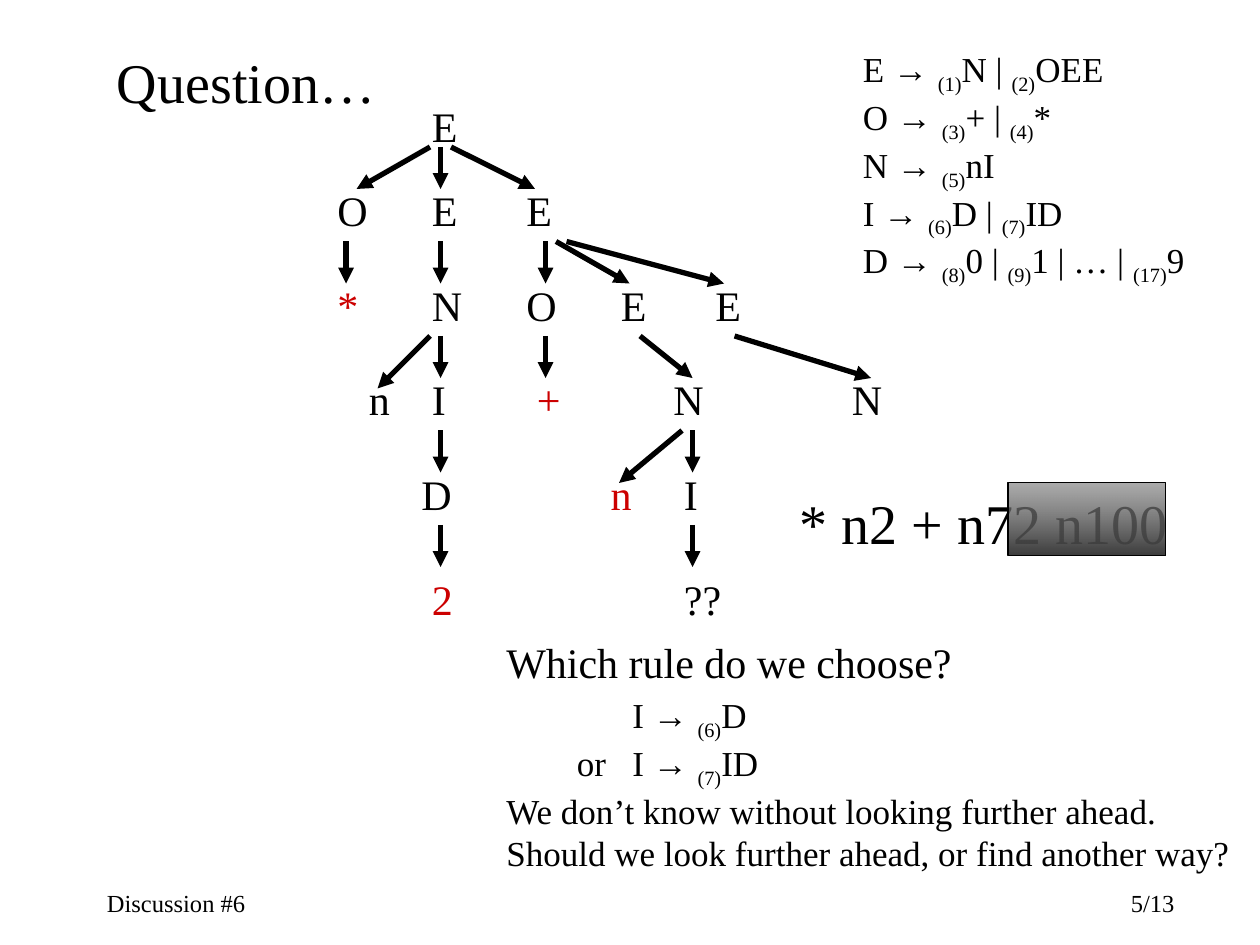
from lxml import etree
from pptx import Presentation
from pptx.dml.color import RGBColor
from pptx.enum.shapes import MSO_CONNECTOR, MSO_SHAPE
from pptx.enum.text import MSO_AUTO_SIZE, PP_ALIGN
from pptx.oxml.ns import qn
from pptx.util import Inches, Pt

STRAIGHT = MSO_CONNECTOR.STRAIGHT
RECTANGLE = MSO_SHAPE.RECTANGLE
FIT_SHAPE = MSO_AUTO_SIZE.SHAPE_TO_FIT_TEXT
LEFT, RIGHT = PP_ALIGN.LEFT, PP_ALIGN.RIGHT

BLACK = RGBColor(0x00, 0x00, 0x00)
RED = RGBColor(0xCC, 0x00, 0x00)
GRAY = RGBColor(0x80, 0x80, 0x80)
DARK = RGBColor(0x3B, 0x3B, 0x3B)

SERIF, SANS = "Times New Roman", "Arial"
UNIT = 1 / 12

GRAMMAR = [
    ("E", [(1, "N"), (2, "OEE")]),
    ("O", [(3, "+"), (4, "*")]),
    ("N", [(5, "nI")]),
    ("I", [(6, "D"), (7, "ID")]),
    ("D", [(8, "0"), (9, "1 | …"), (17, "9")]),
]

ROWS = [0, 8, 17, 26, 35, 45]
NODES = [
    [("E", 9, BLACK)],
    [("O", 0, BLACK), ("E", 9, BLACK), ("E", 18, BLACK)],
    [("*", 0, RED), ("N", 9, BLACK), ("O", 18, BLACK), ("E", 27, BLACK), ("E", 36, BLACK)],
    [("n", 3, BLACK), ("I", 9, BLACK), ("+", 19, RED), ("N", 32, BLACK), ("N", 49, BLACK)],
    [("D", 8, BLACK), ("n", 26, RED), ("I", 33, BLACK)],
    [("2", 9, RED), ("??", 33, BLACK)],
]
BRANCHES = [
    [(11, 11, 4), (10, 3, 4), (12, 20, 4)],
    [(2, 2, 4), (11, 11, 4), (21, 21, 4), (22, 29, 4), (23, 38, 4)],
    [(11, 11, 4), (10, 5, 5), (21, 21, 4), (30, 35, 4), (39, 52, 4)],
    [(11, 11, 4), (35, 35, 4), (34, 28, 5)],
    [(11, 11, 4), (35, 35, 4)],
]


def add_frame(s, x, y, w, h):
    tf = s.shapes.add_textbox(Inches(x), Inches(y), Inches(w), Inches(h)).text_frame
    tf.word_wrap = True
    tf.auto_size = FIT_SHAPE
    return tf


def add_run(p, text, size, color=BLACK, font=SERIF, sub=False):
    r = p.add_run()
    r.text = text
    r.font.size = Pt(size)
    r.font.name = font
    r.font.color.rgb = color
    if sub:
        r.font._element.set("baseline", "-25000")


def add_label(s, x, y, w, h, text, size, color=BLACK, align=LEFT):
    p = add_frame(s, x, y, w, h).paragraphs[0]
    p.alignment = align
    add_run(p, text, size, color)


def add_rule(p, head, options):
    add_run(p, head + " ", 20)
    add_run(p, "→ ", 20, font=SANS)
    for i, (number, body) in enumerate(options, 1):
        add_run(p, f"({number})", 20, sub=True)
        add_run(p, body + (" | " if i < len(options) else ""), 20)


def add_arrow(s, x1, y1, x2, y2):
    c = s.shapes.add_connector(STRAIGHT, Inches(x1), Inches(y1), Inches(x2), Inches(y2))
    c.line.color.rgb = BLACK
    c.line.width = Pt(3)
    etree.SubElement(c.line._get_or_add_ln(), qn("a:tailEnd"), type="triangle")
    etree.SubElement(c._element.spPr, qn("a:effectLst"))


def add_grammar(s, x, y, w, h):
    tf = add_frame(s, x, y, w, h)
    for i, (head, options) in enumerate(GRAMMAR):
        p = tf.add_paragraph() if i else tf.paragraphs[0]
        add_rule(p, head, options)


def add_tree(s, x, y):
    for row, nodes in zip(ROWS, NODES):
        for text, column, color in nodes:
            units = 8 if text == "??" else 5 if text in "EOND" else 4
            add_label(s, x + column * UNIT, y + row * UNIT, units * UNIT, 0.5, text, 24, color)
    for level, branches in enumerate(BRANCHES):
        top = y + (5 + 9 * level) * UNIT
        for start, end, drop in branches:
            add_arrow(s, x + start * UNIT, top, x + end * UNIT, top + drop * UNIT)


def set_tabs(p, stops):
    tabs = etree.SubElement(p._p.get_or_add_pPr(), qn("a:tabLst"))
    for stop in stops:
        etree.SubElement(tabs, qn("a:tab"), pos=str(Inches(stop)), algn="l")


def add_discussion(s, x, y, w, h):
    tf = add_frame(s, x, y, w, h)
    add_run(tf.paragraphs[0], "Which rule do we choose?", 24)
    for lead, size, option in [("\t\t", 24, (6, "D")), ("\tor\t", 20, (7, "ID"))]:
        p = tf.add_paragraph()
        set_tabs(p, [0.56, 1])
        add_run(p, lead, size)
        add_rule(p, "I", [option])
    for text in ["We don’t know without looking further ahead.",
                 "Should we look further ahead, or find another way?"]:
        add_run(tf.add_paragraph(), text, 20)


def add_cover(s, x, y, w, h):
    sp = s.shapes.add_shape(RECTANGLE, Inches(x), Inches(y), Inches(w), Inches(h))
    sp.shadow.inherit = False
    sp.fill.gradient()
    sp.fill.gradient_angle = 270
    for stop, color in zip(sp.fill.gradient_stops, [GRAY, DARK]):
        stop.color.rgb = color
    top_color = sp._element.spPr.find(".//" + qn("a:srgbClr"))
    etree.SubElement(top_color, qn("a:alpha"), val="65000")
    sp.line.color.rgb = BLACK
    sp.line.width = Pt(0.75)


def add_footer(s, x, y, w, h):
    add_label(s, x, y, w / 2, h, "Discussion #6", 14)
    add_label(s, x + w / 2, y, w / 2, h, "5/13", 14, align=RIGHT)


def main():
    prs = Presentation()
    prs.slide_width, prs.slide_height = Inches(10), Inches(7.5)
    s = prs.slides.add_slide(prs.slide_layouts[6])
    add_footer(s, 0.75, 7, 8.67, 0.33)
    add_grammar(s, 6.75, 0.33, 2.92, 2)
    add_tree(s, 2.58, 0.75)
    add_label(s, 6.25, 3.83, 3.25, 0.64, "* n2 + n72 n100", 32)
    add_label(s, 0.83, 0.33, 3.75, 0.64, "Question…", 32)
    add_discussion(s, 3.92, 5, 6.08, 1.98)
    add_cover(s, 8, 3.83, 1.25, 0.58)
    prs.save("out.pptx")


if __name__ == "__main__":
    main()
